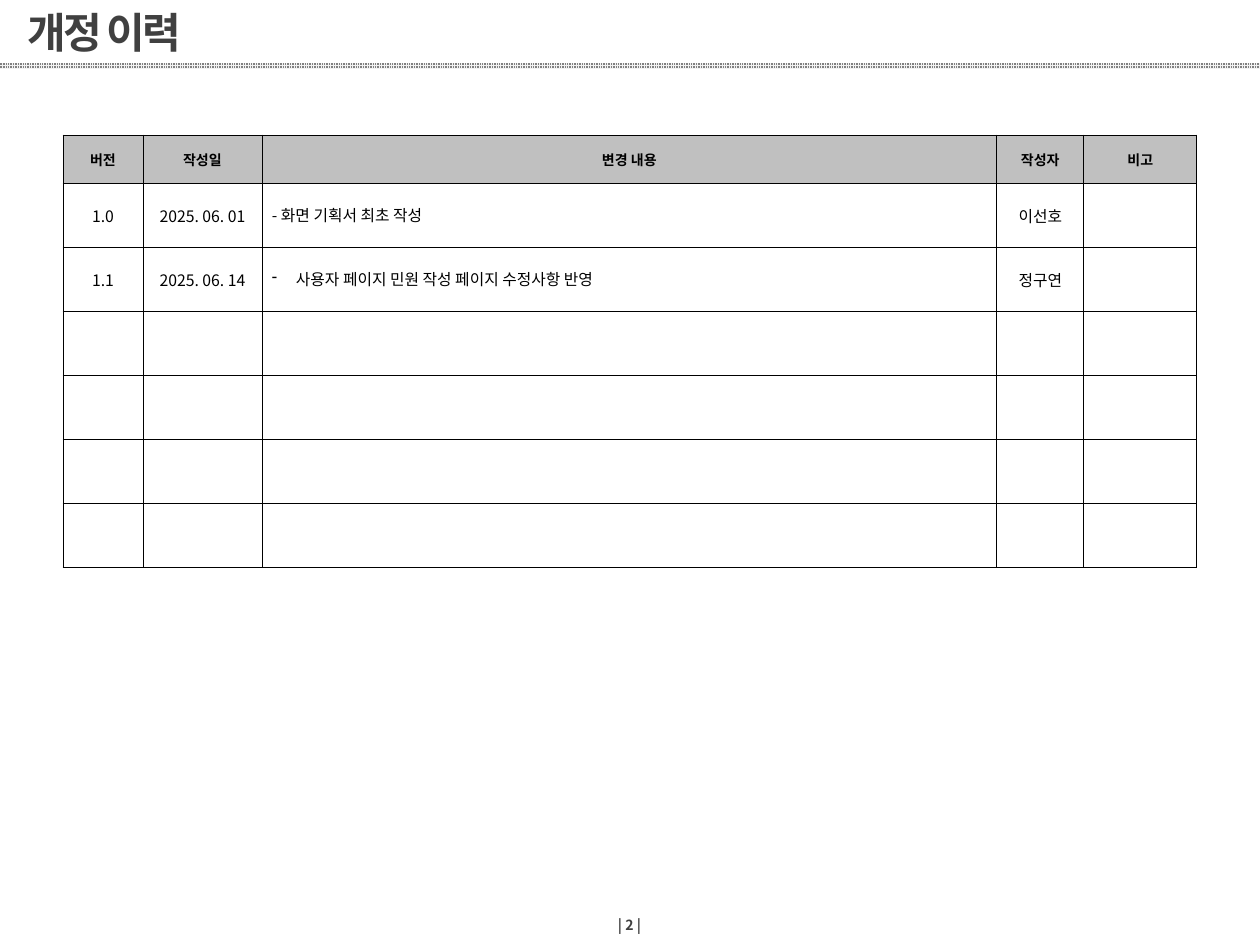
from dataclasses import dataclass

from pptx import Presentation
from pptx.dml.color import RGBColor as Rgb
from pptx.enum.dml import MSO_PATTERN as Pattern
from pptx.enum.shapes import MSO_SHAPE as Shape
from pptx.enum.text import MSO_ANCHOR as Anchor, PP_ALIGN as Align
from pptx.oxml.ns import qn
from pptx.util import Emu, Inches, Pt
from lxml.etree import SubElement


@dataclass(frozen=True)
class Theme:
    font: str = "Noto Sans CJK KR"
    ink: str = "404040"
    black: str = "000000"
    header: str = "C0C0C0"
    grid_fg: str = "F2F2F2"
    grid_bg: str = "808080"
    title_pt: int = 24
    small_pt: int = 8
    body_pt: int = 9
    border_pt: float = 0.5


@dataclass(frozen=True)
class Box:
    x: int
    y: int
    w: int
    h: int


@dataclass(frozen=True)
class Style:
    size: int
    color: str
    bold: bool = False
    spacing: int = 0


@dataclass(frozen=True)
class Revision:
    version: str = ""
    date: str = ""
    change: str = ""
    author: str = ""
    note: str = ""
    bullet: bool = False

    def values(self) -> list[str]:
        return [self.version, self.date, self.change, self.author, self.note]


T = Theme()
TITLE = Style(T.title_pt, T.ink, True, -150)
PAGE = Style(T.small_pt, T.ink, True)
HEAD = Style(T.small_pt, T.black, True)
BODY = Style(T.body_pt, T.black)

HEADERS = ["버전", "작성일", "변경 내용", "작성자", "비고"]
COLS = [80, 119, 735, 87, 113]
CHANGE_COL = 2
HEAD_H, ROW_H = 48, 64
REVISIONS = [
    Revision("1.0", "2025. 06. 01", "- 화면 기획서 최초 작성", "이선호"),
    Revision("1.1", "2025. 06. 14", "사용자 페이지 민원 작성 페이지 수정사항 반영",
             "정구연", bullet=True),
] + [Revision()] * 4


def px(n: int) -> Emu:
    return Emu(round(n * 914400 / 126))


def place(b: Box) -> tuple[Emu, ...]:
    return px(b.x), px(b.y), px(b.w), px(b.h)


def add_run(p, text: str, style: Style) -> None:
    r = p.add_run()
    r.text = text
    r.font.name = T.font
    r.font.size = Pt(style.size)
    r.font.bold = style.bold
    r.font.color.rgb = Rgb.from_string(style.color)
    rpr = r.font._element
    SubElement(rpr, qn("a:ea")).set("typeface", T.font)
    if style.spacing:
        rpr.set("spc", str(style.spacing))


def add_text(s, box: Box, text: str, style: Style, align: Align,
             line: float = 1.0) -> None:
    tf = s.shapes.add_textbox(*place(box)).text_frame
    tf.word_wrap = True
    tf.vertical_anchor = Anchor.MIDDLE
    p = tf.paragraphs[0]
    p.alignment = align
    p.line_spacing = line
    add_run(p, text, style)


def add_rule(s, box: Box) -> None:
    sp = s.shapes.add_shape(Shape.RECTANGLE, *place(box))
    sp.shadow.inherit = False
    sp.line.fill.background()
    sp.fill.patterned()
    sp.fill.pattern = Pattern.SMALL_GRID
    sp.fill.fore_color.rgb = Rgb.from_string(T.grid_fg)
    sp.fill.back_color.rgb = Rgb.from_string(T.grid_bg)


def add_borders(cell) -> None:
    tcpr = cell._tc.get_or_add_tcPr()
    for side in ("lnL", "lnR", "lnT", "lnB"):
        ln = SubElement(tcpr, qn(f"a:{side}"), w=str(Pt(T.border_pt)))
        fill = SubElement(ln, qn("a:solidFill"))
        SubElement(fill, qn("a:srgbClr"), val=T.black)


def add_bullet(p) -> None:
    ppr = p._p.get_or_add_pPr()
    indent = Inches(0.19)
    ppr.set("marL", str(indent))
    ppr.set("indent", str(-indent))
    SubElement(ppr, qn("a:buFontTx"))
    SubElement(ppr, qn("a:buChar")).set("char", "-")


def fill_cell(cell, text: str, style: Style, fill: str = "",
              left: bool = False, bullet: bool = False) -> None:
    insets = (0.08, 0.02, 0.06, 0.02) if left else (0.01, 0.01, 0.01, 0)
    (cell.margin_left, cell.margin_top,
     cell.margin_right, cell.margin_bottom) = map(Inches, insets)
    cell.vertical_anchor = Anchor.MIDDLE
    add_borders(cell)
    if fill:
        cell.fill.solid()
        cell.fill.fore_color.rgb = Rgb.from_string(fill)
    else:
        cell.fill.background()
    if text:
        p = cell.text_frame.paragraphs[0]
        p.alignment = Align.LEFT if left else Align.CENTER
        if bullet:
            add_bullet(p)
        add_run(p, text, style)


def add_history(s, x: int, y: int) -> None:
    box = Box(x, y, sum(COLS), HEAD_H + ROW_H * len(REVISIONS))
    table = s.shapes.add_table(len(REVISIONS) + 1, len(COLS), *place(box)).table
    table.first_row = table.horz_banding = False
    for col, w in zip(table.columns, COLS):
        col.width = px(w)
    for i, row in enumerate(table.rows):
        row.height = px(ROW_H if i else HEAD_H)
    for c, text in enumerate(HEADERS):
        fill_cell(table.cell(0, c), text, HEAD, T.header)
    for i, rev in enumerate(REVISIONS, 1):
        for c, text in enumerate(rev.values()):
            left = c == CHANGE_COL
            fill_cell(table.cell(i, c), text, BODY, left=left,
                      bullet=left and rev.bullet)


def main() -> None:
    prs = Presentation()
    prs.slide_width, prs.slide_height = px(1260), px(945)
    s = prs.slides.add_slide(prs.slide_layouts[6])
    add_rule(s, Box(0, 63, 1260, 6))
    add_text(s, Box(15, 6, 1062, 57), "개정 이력", TITLE, Align.LEFT, 0.9)
    add_text(s, Box(581, 907, 97, 35), "| 2 |", PAGE, Align.CENTER)
    add_history(s, 63, 135)
    prs.save("out.pptx")


if __name__ == "__main__":
    main()
